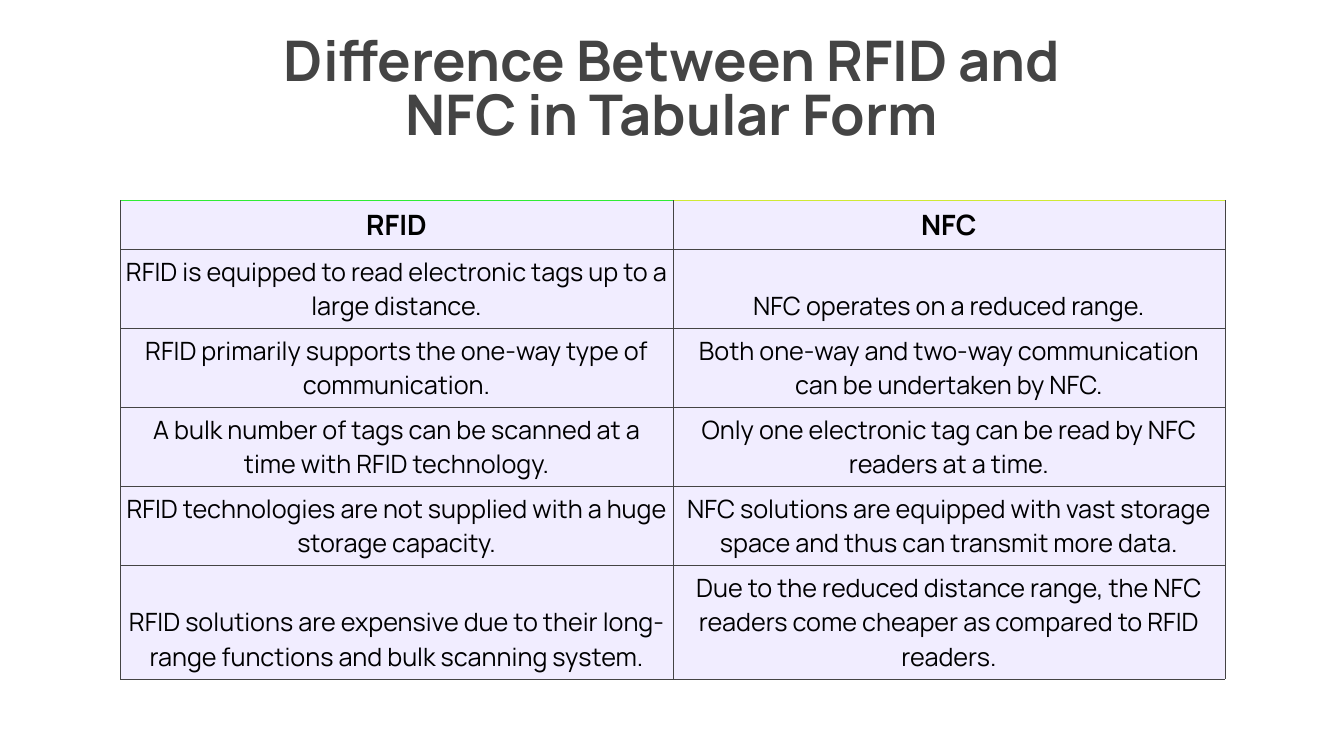
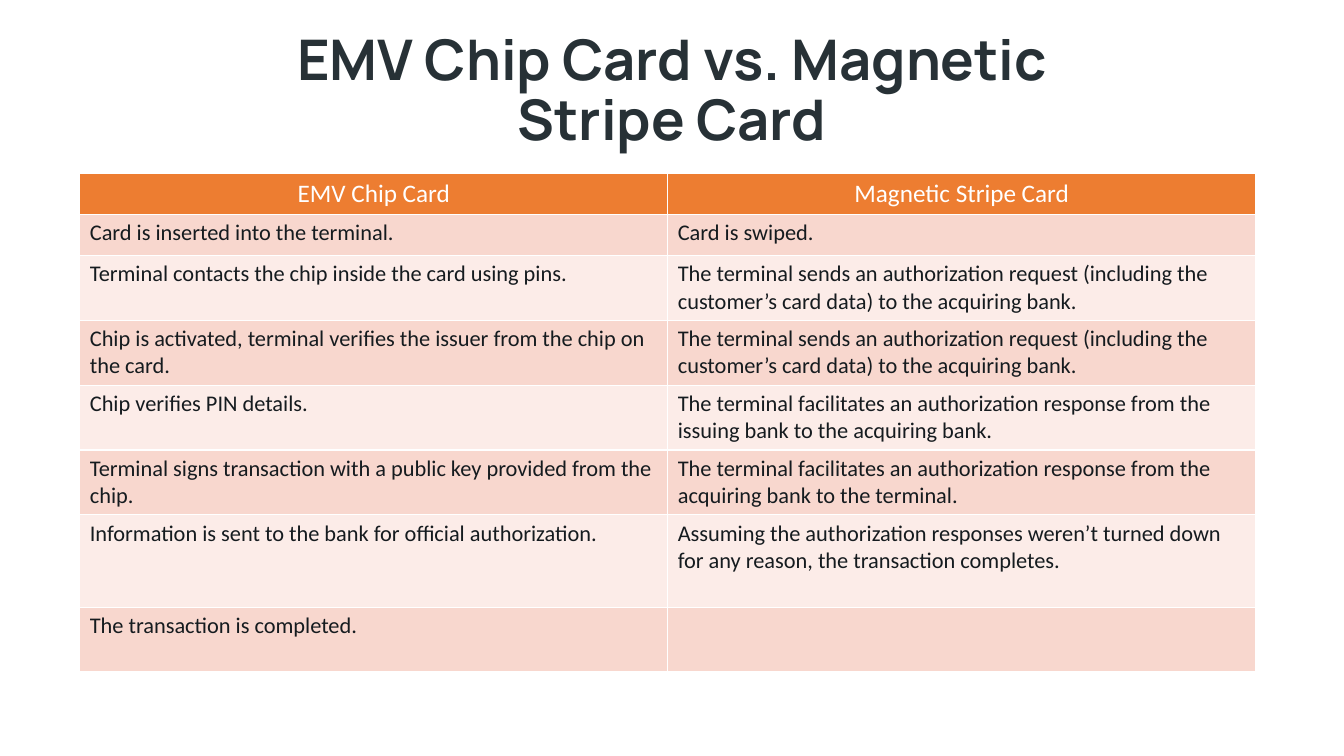
import dataclasses

import lxml.etree
import pptx
import pptx.dml.color
import pptx.enum.text
import pptx.oxml.ns
import pptx.util

Pt = pptx.util.Pt
ALIGN = pptx.enum.text.PP_ALIGN
ANCHOR = pptx.enum.text.MSO_ANCHOR


@dataclasses.dataclass(frozen=True)
class Theme:
    """Colours, fonts and type sizes of the deck."""
    heading_font: str = "Manrope"
    body_font: str = "Calibri"
    title_size: int = 40
    title_gray: str = "444444"
    title_slate: str = "273136"
    black: str = "000000"
    ink: str = "151B1F"
    white: str = "FFFFFF"
    lavender: str = "F1EDFF"
    green: str = "30EC35"
    lime: str = "D0E935"
    orange: str = "ED7D31"
    salmon: str = "F8D7CE"
    blush: str = "FCECE8"


@dataclasses.dataclass(frozen=True)
class TableStyle:
    """Look of one comparison table."""
    font: str
    head_size: int
    head_bold: bool
    head_color: str
    head_fill: str
    body_size: int
    body_color: str
    body_align: ALIGN
    bands: tuple
    border: str
    border_width: float
    top_borders: tuple
    anchor: ANCHOR
    inset_x: float


THEME = Theme()
SLIDE_SIZE = (960, 540)
TITLE_BOX = (157, 17.3, 645.8, 97.2)
INSET_Y = 3.6

RADIO_STYLE = TableStyle(
    font=THEME.heading_font, head_size=20, head_bold=True,
    head_color=THEME.black, head_fill=THEME.lavender,
    body_size=18, body_color=THEME.black, body_align=ALIGN.CENTER,
    bands=(THEME.lavender,), border=THEME.title_gray, border_width=0.3,
    top_borders=(THEME.green, THEME.lime), anchor=ANCHOR.BOTTOM, inset_x=3.6)

CARD_STYLE = TableStyle(
    font=THEME.body_font, head_size=18, head_bold=False,
    head_color=THEME.white, head_fill=THEME.orange,
    body_size=16, body_color=THEME.ink, body_align=ALIGN.LEFT,
    bands=(THEME.salmon, THEME.blush), border=THEME.white, border_width=1,
    top_borders=(THEME.white, THEME.white), anchor=ANCHOR.TOP, inset_x=7.2)

RADIO_ROWS = [
    ("RFID", "NFC"),
    ("RFID is equipped to read electronic tags up to a large distance.",
     "NFC operates on a reduced range."),
    ("RFID primarily supports the one-way type of communication.",
     "Both one-way and two-way communication can be undertaken by NFC."),
    ("A bulk number of tags can be scanned at a time with RFID technology.",
     "Only one electronic tag can be read by NFC readers at a time."),
    ("RFID technologies are not supplied with a huge storage capacity.",
     "NFC solutions are equipped with vast storage space and thus can transmit more data."),
    ("RFID solutions are expensive due to their long-range functions and bulk scanning system.",
     "Due to the reduced distance range, the NFC readers come cheaper as compared to RFID readers."),
]

REQUEST = ("The terminal sends an authorization request "
           "(including the customer’s card data) to the acquiring bank.")
CARD_ROWS = [
    ("EMV Chip Card", "Magnetic Stripe Card"),
    ("Card is inserted into the terminal.", "Card is swiped."),
    ("Terminal contacts the chip inside the card using pins.", REQUEST),
    ("Chip is activated, terminal verifies the issuer from the chip on the card.", REQUEST),
    ("Chip verifies PIN details.",
     "The terminal facilitates an authorization response from the issuing bank to the acquiring bank."),
    ("Terminal signs transaction with a public key provided from the chip.",
     "The terminal facilitates an authorization response from the acquiring bank to the terminal."),
    ("Information is sent to the bank for official authorization.",
     "Assuming the authorization responses weren’t turned down for any reason, the transaction completes."),
    ("The transaction is completed.", ""),
]


def rgb(color):
    """Turn a hex string into a colour."""
    return pptx.dml.color.RGBColor.from_string(color)


def format_paragraph(paragraph, font, size, color, bold, align):
    """Set the font and alignment of a paragraph."""
    paragraph.alignment = align
    paragraph.font.name = font
    paragraph.font.size = Pt(size)
    paragraph.font.bold = bold
    paragraph.font.color.rgb = rgb(color)


def add_title(slide, box, wording, color, line_spacing):
    """Fill the title placeholder and place it in the box."""
    title = slide.shapes.title
    title.left, title.top, title.width, title.height = map(Pt, box)
    frame = title.text_frame
    frame.text = wording
    frame.word_wrap = True
    frame.auto_size = pptx.enum.text.MSO_AUTO_SIZE.NONE
    frame.vertical_anchor = ANCHOR.MIDDLE
    heading = frame.paragraphs[0]
    heading.line_spacing = line_spacing
    format_paragraph(heading, THEME.heading_font, THEME.title_size, color, True, ALIGN.CENTER)


def set_borders(cell, colors, width):
    """Draw the left, right, top and bottom borders of a cell."""
    properties = cell._tc.get_or_add_tcPr()
    qn = pptx.oxml.ns.qn
    for side, color in zip("LRTB", colors):
        line = lxml.etree.SubElement(properties, qn(f"a:ln{side}"), w=str(int(Pt(width))))
        fill = lxml.etree.SubElement(line, qn("a:solidFill"))
        lxml.etree.SubElement(fill, qn("a:srgbClr"), val=color)


def format_cell(cell, wording, row, column, style):
    """Write and style one cell by its place in the table."""
    is_head = row == 0
    cell.text = wording
    cell.vertical_anchor = style.anchor
    cell.margin_left = cell.margin_right = Pt(style.inset_x)
    cell.margin_top = cell.margin_bottom = Pt(INSET_Y)
    top = style.top_borders[column] if is_head else style.border
    set_borders(cell, (style.border, style.border, top, style.border), style.border_width)
    cell.fill.solid()
    band = style.bands[(row - 1) % len(style.bands)]
    cell.fill.fore_color.rgb = rgb(style.head_fill if is_head else band)
    format_paragraph(
        cell.text_frame.paragraphs[0], style.font,
        style.head_size if is_head else style.body_size,
        style.head_color if is_head else style.body_color,
        is_head and style.head_bold,
        ALIGN.CENTER if is_head else style.body_align)


def add_comparison(slide, left, top, width, row_heights, rows, style):
    """Add a table with equal columns at the given place."""
    columns = len(rows[0])
    table = slide.shapes.add_table(
        len(rows), columns, Pt(left), Pt(top), Pt(width), Pt(sum(row_heights))).table
    table.first_row = table.horz_banding = False
    for column in table.columns:
        column.width = Pt(width / columns)
    for r, (height, wordings) in enumerate(zip(row_heights, rows)):
        table.rows[r].height = Pt(height)
        for c, wording in enumerate(wordings):
            format_cell(table.cell(r, c), wording, r, c, style)


def add_slide(deck):
    """Add a slide that holds only a title."""
    return deck.slides.add_slide(deck.slide_layouts[5])


def build_radio_slide(deck):
    """Build the comparison of RFID and NFC."""
    slide = add_slide(deck)
    add_title(slide, TITLE_BOX, "Difference Between RFID and NFC in Tabular Form",
              THEME.title_gray, 0.8)
    heights = [35] + [56.4] * 4 + [81.2]
    add_comparison(slide, 86, 143, 789, heights, RADIO_ROWS, RADIO_STYLE)


def build_card_slide(deck):
    """Build the comparison of chip and stripe cards."""
    slide = add_slide(deck)
    add_title(slide, TITLE_BOX, "EMV Chip Card vs. Magnetic Stripe Card",
              THEME.title_slate, 0.9)
    heights = [29.2] * 2 + [46.3] * 4 + [66, 45.7]
    add_comparison(slide, 57, 124, 840, heights, CARD_ROWS, CARD_STYLE)


def main():
    """Build and save the deck."""
    deck = pptx.Presentation()
    deck.slide_width, deck.slide_height = map(Pt, SLIDE_SIZE)
    build_radio_slide(deck)
    build_card_slide(deck)
    deck.save("out.pptx")


if __name__ == "__main__":
    main()
